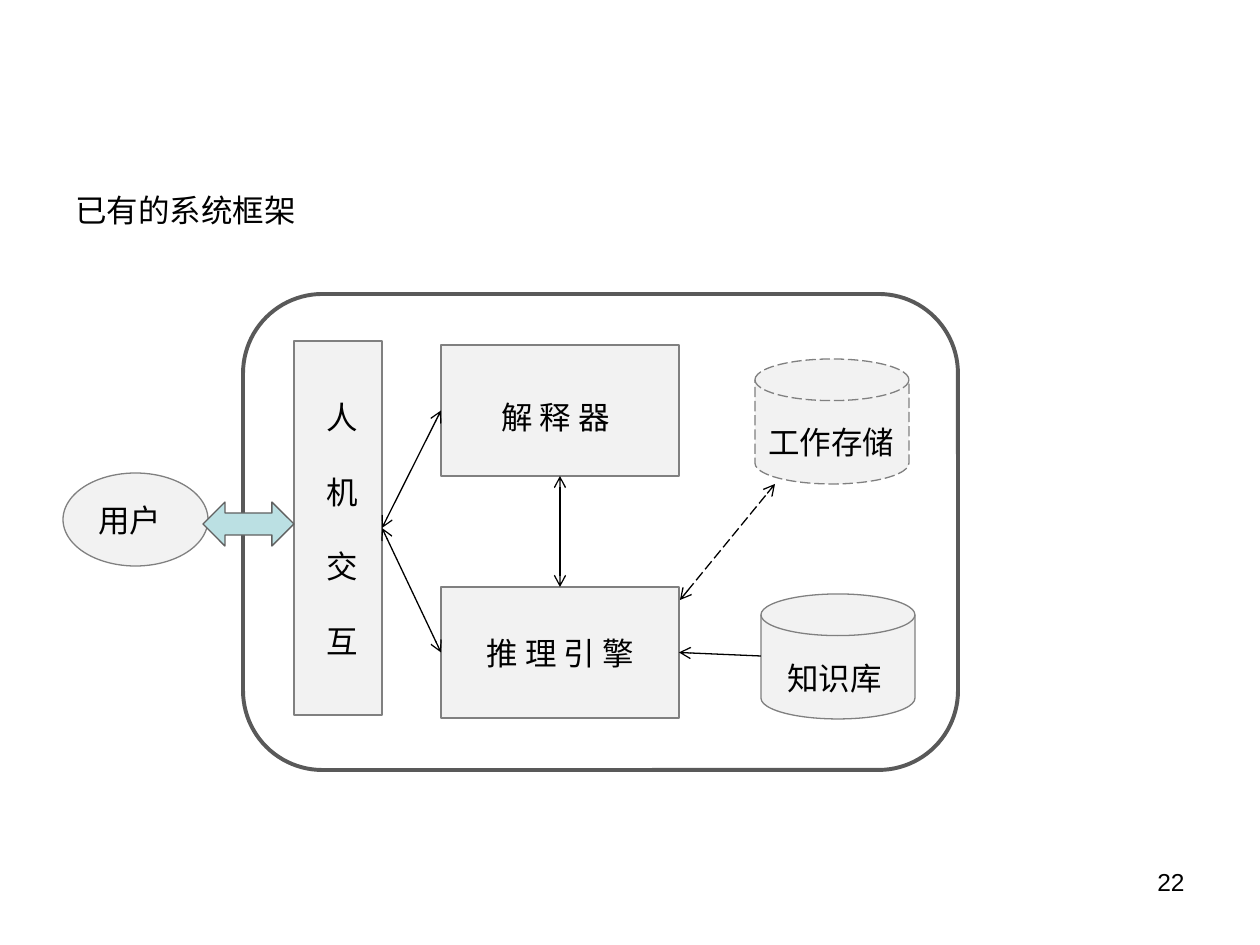
from lxml import etree
from pptx import Presentation
from pptx import util as u
from pptx.dml.color import RGBColor
from pptx.enum import dml, shapes, text
from pptx.oxml.ns import qn

PX = 914400 / 126  # EMU per px
KIND = shapes.MSO_SHAPE
DASH = dml.MSO_LINE.LONG_DASH


def emu(*vals):
    return [u.Emu(round(v * PX)) for v in vals]


def tint(code):
    return RGBColor.from_string(code)


deck = Presentation()
deck.slide_width, deck.slide_height = emu(1260, 945)
slide = deck.slides.add_slide(deck.slide_layouts[6])

# Frame, blocks, stores and user arrow: kind, place, fill, line, width, dash
parts = {
    "frame": (KIND.ROUNDED_RECTANGLE, (243, 294, 715, 476), None, "595959", 2.25, None),
    "user": (KIND.OVAL, (63, 473, 145, 93), "F2F2F2", "808080", 0.75, None),
    "panel": (KIND.RECTANGLE, (294, 341, 88, 374), "F2F2F2", "808080", 0.75, None),
    "explain": (KIND.RECTANGLE, (441, 345, 238, 131), "F2F2F2", "808080", 0.75, None),
    "engine": (KIND.RECTANGLE, (441, 587, 238, 131), "F2F2F2", "808080", 0.75, None),
    "base": (KIND.FLOWCHART_MAGNETIC_DISK, (761, 594, 154, 125), "F2F2F2", "808080", 0.75, None),
    "work": (KIND.FLOWCHART_MAGNETIC_DISK, (755, 359, 154, 125), "F2F2F2", "808080", 0.75, DASH),
    "swap": (KIND.LEFT_RIGHT_ARROW, (203, 502, 91, 44), "BBE0E3", "606060", 0.75, None),
}
made = {}
for name, (kind, place, fill, line, width, dash) in parts.items():
    shape = slide.shapes.add_shape(kind, *emu(*place))
    shape.shadow.inherit = False
    if fill:
        shape.fill.solid()
        shape.fill.fore_color.rgb = tint(fill)
    else:
        shape.fill.background()
    shape.line.color.rgb = tint(line)
    shape.line.width = u.Pt(width)
    if dash:
        shape.line.dash_style = dash
    made[name] = shape

# Links: ends, joined block and side at each end, arrowheads, dash
both = ("headEnd", "tailEnd")
links = [
    ((441, 411, 382, 528), ("explain", 1), ("panel", 3), both, None),
    ((382, 528, 441, 653), ("panel", 3), ("engine", 1), both, None),
    ((680, 600, 775, 484), None, None, both, DASH),
    ((560, 476, 560, 587), ("explain", 2), ("engine", 0), both, None),
    ((761, 656, 679, 653), None, ("engine", 3), ("tailEnd",), None),
]
for ends, start, stop, heads, dash in links:
    link = slide.shapes.add_connector(shapes.MSO_CONNECTOR.STRAIGHT, *emu(*ends))
    if start:
        link.begin_connect(made[start[0]], start[1])
    if stop:
        link.end_connect(made[stop[0]], stop[1])
    link.line.color.rgb = tint("000000")
    link.line.width = u.Pt(0.75)
    if dash:
        link.line.dash_style = dash
    for head in heads:
        etree.SubElement(link.line._ln, qn("a:" + head), type="arrow")
    etree.SubElement(link._element.spPr, qn("a:effectLst"))

# Labels: lines, place, alignment, size
left, mid, right = text.PP_ALIGN.LEFT, text.PP_ALIGN.CENTER, text.PP_ALIGN.RIGHT
labels = [
    (["已有的系统框架"], (63, 185, 518, 50), left, 18),
    (["用户"], (86, 495, 100, 50), left, 18),
    (["人", "机", "交", "互"], (314, 392, 69, 280), left, 18),
    (["解 释 器"], (481, 392, 149, 50), mid, 18),
    (["推 理 引 擎"], (461, 628, 199, 50), mid, 18),
    (["知识库"], (775, 653, 140, 50), left, 18),
    (["工作存储"], (756, 417, 163, 50), left, 18),
    (["22"], (903, 861, 294, 66), right, 14),
]
for rows, place, align, size in labels:
    frame = slide.shapes.add_textbox(*emu(*place)).text_frame
    frame.word_wrap = True
    frame.text = "\n".join(rows)
    for i, para in enumerate(frame.paragraphs):
        para.alignment = align
        if i:
            para.space_before = u.Pt(21)
        look = {"name": "Arial", "size": u.Pt(size)}
        for key, val in look.items():
            setattr(para.runs[0].font, key, val)
        para.runs[0].font.color.rgb = tint("000000")

deck.save("out.pptx")
